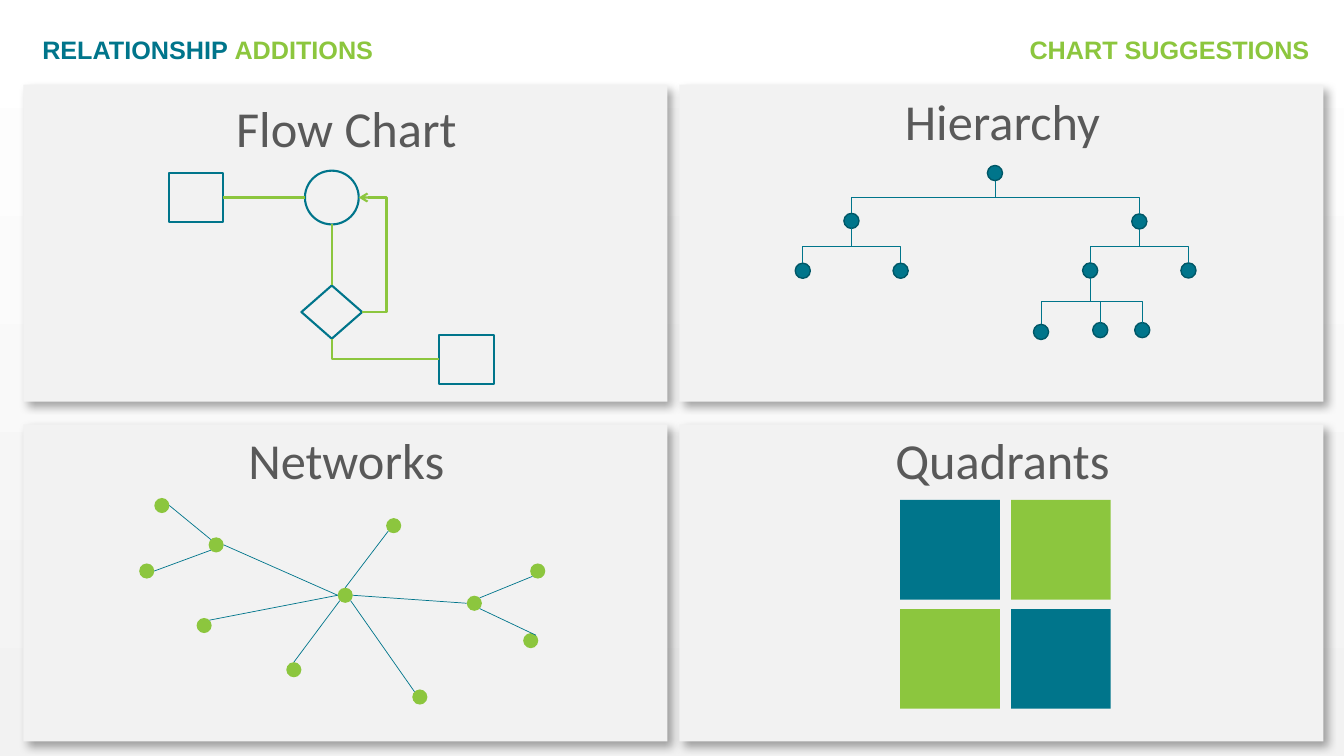
import math
import lxml.etree
import pptx
import pptx.dml.color
import pptx.enum.shapes
import pptx.enum.text
import pptx.oxml.ns
import pptx.util

Pt = pptx.util.Pt
Kind = pptx.enum.shapes.MSO_SHAPE
Link = pptx.enum.shapes.MSO_CONNECTOR
Align = pptx.enum.text.PP_ALIGN
qn = pptx.oxml.ns.qn

THEME = {
    "teal": "00758B", "green": "8CC63E", "edge": "005767", "gray": "595959",
    "panel": "F2F2F2", "white": "FFFFFF", "shadow": "000000",
    "heading": {"name": "Arial", "size": Pt(18), "bold": True},
    "caption": {"name": "Calibri", "size": Pt(36), "bold": False},
}
HEADING = [("RELATIONSHIP ", "teal"), ("ADDITIONS", "green")]
SUGGESTIONS = [("CHART SUGGESTIONS", "green")]
PANELS = [
    ("Flow Chart", 0, 0, 5), ("Hierarchy", 1, 0, 0),
    ("Networks", 0, 1, 0), ("Quadrants", 1, 1, 0),
]
FLOW = {
    "start": (Kind.FLOWCHART_PROCESS, 120.7, 123.7, 38.9, 34.8),
    "hub": (Kind.FLOWCHART_CONNECTOR, 217.8, 121.9, 38.4, 38.4),
    "choice": (Kind.FLOWCHART_DECISION, 215.3, 203.9, 43.4, 38),
    "finish": (Kind.FLOWCHART_PROCESS, 313.8, 239.2, 38.9, 34.8),
}
HIERARCHY = {
    "root": (710.7, 123.6), "left": (608.2, 157.8), "right": (813.8, 158.2),
    "left one": (573.4, 193.4), "left two": (643.3, 193.4),
    "right one": (778.7, 193.2), "right two": (848.9, 193.2),
    "leaf one": (743.6, 237.1), "leaf two": (785.9, 235.8), "leaf three": (815.9, 235.8),
}
BRANCHES = [
    ("root", 141, ["left", "right"]),
    ("left", 175.7, ["left one", "left two"]),
    ("right", 175.7, ["right one", "right two"]),
    ("right one", 215.2, ["leaf one", "leaf two", "leaf three"]),
]
NETWORK = {
    "west": (154.4, 389.2), "north": (281.2, 375.5), "east": (338.8, 430.9),
    "centre": (246.6, 425.2), "south": (299.9, 497.9), "southwest": (209.9, 478.4),
    "low west": (145.8, 446.8), "northwest": (115.6, 361.1), "far west": (104.8, 407.9),
    "northeast": (384.1, 407.9), "southeast": (379.1, 457.6),
}
NETWORK_LINKS = [
    ("northwest", 6, "west", 1), ("far west", 6, "west", 3), ("west", 6, "centre", 2),
    ("low west", 7, "centre", 2), ("north", 3, "centre", 0), ("east", 7, "northeast", 3),
    ("east", 5, "southeast", 7), ("centre", 6, "east", 2), ("centre", 5, "south", 1),
    ("southwest", 0, "centre", 3),
]
COLUMNS, ROWS, PANEL_SIZE = (16.6, 485.3), (60.5, 303.1), (460.1, 226.4)
DOT = 10.8

deck = pptx.Presentation()
deck.slide_width, deck.slide_height = Pt(960), Pt(540)
page = deck.slides.add_slide(deck.slide_layouts[5])


def color(name):
    return pptx.dml.color.RGBColor.from_string(THEME[name])


def assign(target, values):
    for name, value in values.items():
        setattr(target, name, value)


def write(box, frame, spans, style, align):
    left, top, width, height = map(Pt, frame)
    assign(box, {"left": left, "top": top, "width": width, "height": height})
    assign(box.text_frame, {
        "word_wrap": True,
        "auto_size": pptx.enum.text.MSO_AUTO_SIZE.SHAPE_TO_FIT_TEXT,
        "vertical_anchor": pptx.enum.text.MSO_ANCHOR.TOP,
    })
    para = box.text_frame.paragraphs[0]
    para.alignment = align
    for text, tint in spans:
        span = para.add_run()
        span.text = text
        assign(span.font, THEME[style])
        span.font.color.rgb = color(tint)


def add_box(kind, left, top, width, height, fill=None, line=None, weight=1):
    box = page.shapes.add_shape(kind, Pt(left), Pt(top), Pt(width), Pt(height))
    box.shadow.inherit = False
    if fill:
        box.fill.solid()
        box.fill.fore_color.rgb = color(fill)
    else:
        box.fill.background()
    if line:
        box.line.color.rgb = color(line)
        box.line.width = Pt(weight)
    else:
        box.line.fill.background()
    return box


def add_dot(center, fill, line=None):
    x, y = center
    return add_box(Kind.FLOWCHART_CONNECTOR, x - DOT / 2, y - DOT / 2, DOT, DOT, fill, line)


def add_link(kind, begin, end, tint, weight):
    link = page.shapes.add_connector(kind, *map(Pt, begin + end))
    link.line.color.rgb = color(tint)
    link.line.width = Pt(weight)
    lxml.etree.SubElement(link._element.spPr, qn("a:effectLst"))
    return link


def bend(link, turn=0, share=None, preset="bentConnector3"):
    shape = link._element.spPr
    shape.find(qn("a:xfrm")).set("rot", str(turn * 60000))
    geometry = shape.find(qn("a:prstGeom"))
    geometry.set("prst", preset)
    if share is not None:
        lxml.etree.SubElement(geometry.find(qn("a:avLst")), qn("a:gd"),
                              name="adj1", fmla=f"val {round(share * 100000)}")


def add_panel(title, column, row, drop):
    left, top = COLUMNS[column], ROWS[row]
    panel = add_box(Kind.RECTANGLE, left, top, *PANEL_SIZE, fill="panel")
    effects = panel._element.spPr.find(qn("a:effectLst"))
    shadow = lxml.etree.SubElement(
        effects, qn("a:outerShdw"), blurRad=str(Pt(6)), dist=str(Pt(5)),
        dir=str(45 * 60000), algn="tl", rotWithShape="0")
    tint = lxml.etree.SubElement(shadow, qn("a:srgbClr"), val=THEME["shadow"])
    lxml.etree.SubElement(tint, qn("a:alpha"), val="34000")
    write(page.shapes.add_textbox(0, 0, 0, 0), (left, top + drop, 461.5, 51),
          [(title, "gray")], "caption", Align.CENTER)


def draw_flow():
    boxes = {name: add_box(*place, line="teal", weight=1.5) for name, place in FLOW.items()}
    across = add_link(Link.STRAIGHT, (159.6, 141.1), (217.8, 141.1), "green", 1.5)
    across.begin_connect(boxes["start"], 3)
    down = add_link(Link.STRAIGHT, (237, 160.3), (237, 203.9), "green", 1.5)
    down.end_connect(boxes["choice"], 0)
    bend(add_link(Link.ELBOW, (237, 241.9), (313.8, 256.6), "green", 1.5),
         turn=180, preset="bentConnector2")
    back = add_link(Link.ELBOW, (256.2, 141.1), (258.7, 222.9), "green", 1.5)
    bend(back, share=7.98)
    lxml.etree.SubElement(back.line._get_or_add_ln(), qn("a:headEnd"), type="arrow")


def draw_hierarchy():
    for center in HIERARCHY.values():
        add_dot(center, "teal", "edge")
    for parent, bus, children in BRANCHES:
        for child in children:
            x1, y1 = HIERARCHY[parent]
            x2, y2 = HIERARCHY[child]
            y1, y2 = y1 + DOT / 2, y2 - DOT / 2
            x, y, across, down = (x1 + x2) / 2, (y1 + y2) / 2, (x2 - x1) / 2, (y2 - y1) / 2
            link = add_link(Link.ELBOW, (x - down, y + across), (x + down, y - across),
                            "teal", 0.5)
            bend(link, turn=90, share=(bus - y1) / (y2 - y1))


def rim(name, site):
    x, y = NETWORK[name]
    angle = math.radians(45 * site)
    return x - DOT / 2 * math.sin(angle), y - DOT / 2 * math.cos(angle)


def draw_network():
    for center in NETWORK.values():
        add_dot(center, "green")
    for first, leave, second, arrive in NETWORK_LINKS:
        add_link(Link.STRAIGHT, rim(first, leave), rim(second, arrive), "teal", 0.5)


def draw_quadrants():
    for row in range(2):
        for column in range(2):
            add_box(Kind.RECTANGLE, 643 + 79.2 * column, 357.1 + 78 * row, 71.2, 71.2,
                    fill=("teal", "green")[(row + column) % 2])


backdrop = page.background.fill
backdrop.gradient()
backdrop.gradient_angle = 90
for stop, name in zip(backdrop.gradient_stops, ("panel", "white")):
    stop.color.rgb = color(name)
write(page.shapes.title, (23, 20.9, 254.9, 29), HEADING, "heading", Align.LEFT)
write(page.shapes.add_textbox(0, 0, 0, 0), (687.6, 20.9, 254.9, 29),
      SUGGESTIONS, "heading", Align.RIGHT)
for entry in PANELS:
    add_panel(*entry)
draw_flow()
draw_hierarchy()
draw_network()
draw_quadrants()
deck.save("out.pptx")
